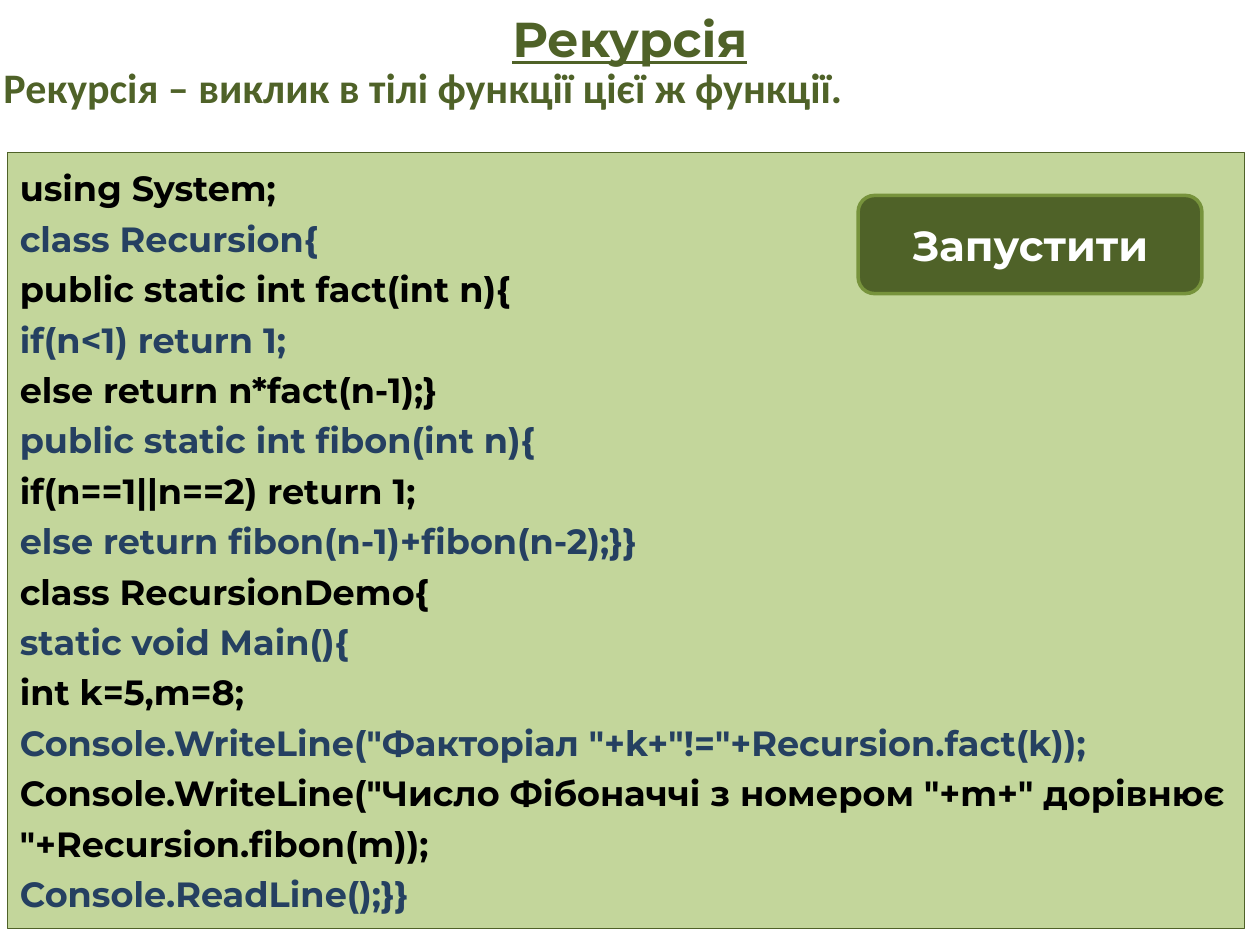
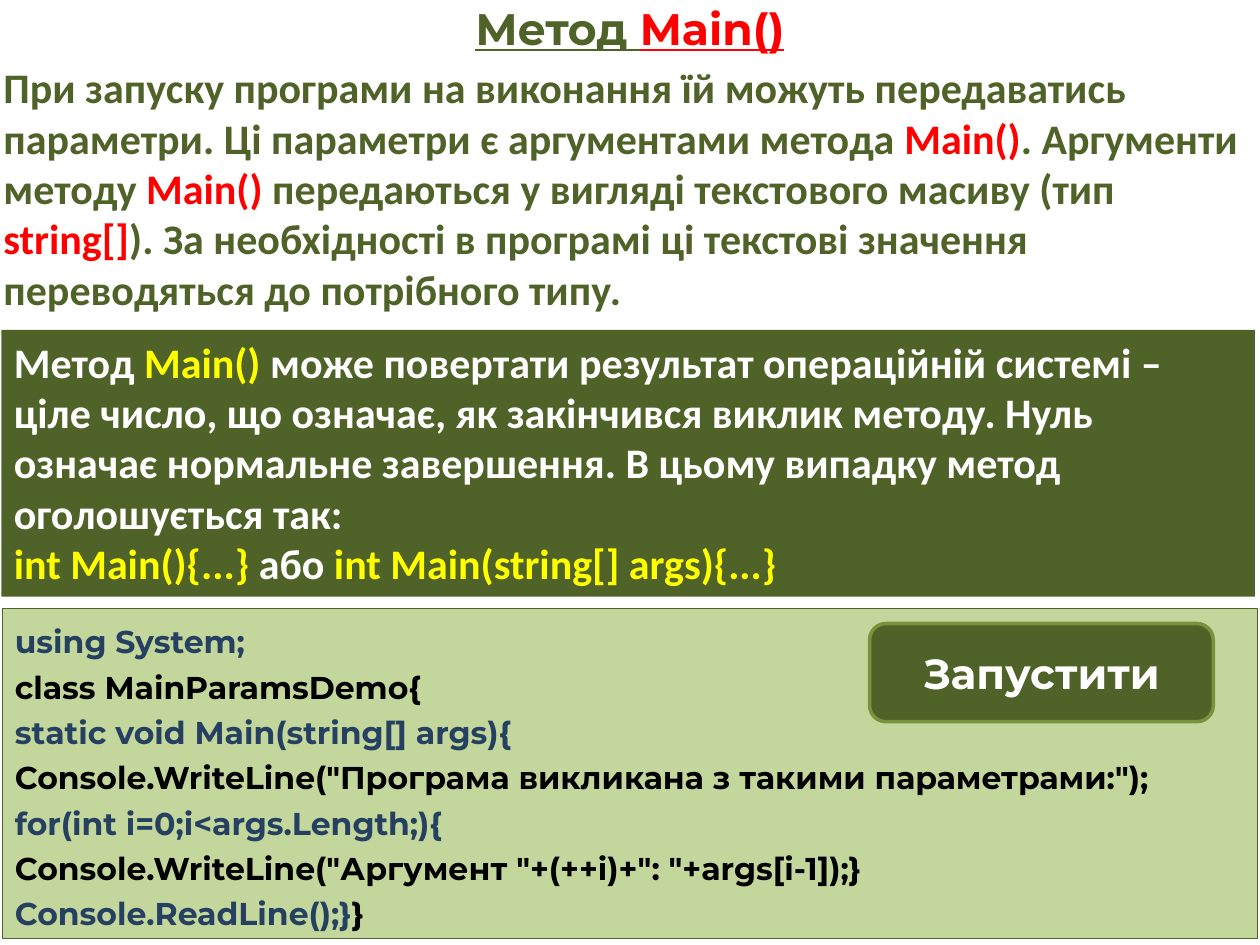
from dataclasses import dataclass
from itertools import cycle

from pptx import Presentation
from pptx.dml.color import RGBColor
from pptx.enum.shapes import MSO_SHAPE as Shape
from pptx.enum.text import MSO_ANCHOR as Anchor, PP_ALIGN as Align
from pptx.util import Cm, Pt

# Colours and fonts
OLIVE = RGBColor(0x4F, 0x62, 0x28)
LEAF = RGBColor(0x77, 0x93, 0x3C)
PALE = RGBColor(0xC3, 0xD6, 0x9B)
NAVY = RGBColor(0x25, 0x40, 0x61)
BLACK = RGBColor(0, 0, 0)
WHITE = RGBColor(0xFF, 0xFF, 0xFF)
RED = RGBColor(0xFF, 0, 0)
YELLOW = RGBColor(0xFF, 0xFF, 0)
HEAD_FONT, BODY_FONT = "Montserrat", "Calibri"

SLIDE_W, SLIDE_H = 25.4, 19.05
BUTTON_W, BUTTON_H = 6.93, 1.98

Line = list[tuple[str, RGBColor]]  # one paragraph: coloured spans


@dataclass(frozen=True)
class Box:
    """Position and size in centimetres."""
    x: float
    y: float
    w: float
    h: float

    def emu(self) -> tuple[Cm, Cm, Cm, Cm]:
        return Cm(self.x), Cm(self.y), Cm(self.w), Cm(self.h)


@dataclass(frozen=True)
class TextStyle:
    size: float
    font: str = HEAD_FONT
    align: Align = Align.LEFT
    anchor: Anchor = Anchor.TOP
    spacing: float = 1.0
    underline: bool = False


BODY = TextStyle(24, BODY_FONT)
BUTTON = TextStyle(24, align=Align.CENTER, anchor=Anchor.MIDDLE)


def write(sp, lines: list[Line], style: TextStyle) -> None:
    tf = sp.text_frame
    tf.word_wrap = True
    tf.vertical_anchor = style.anchor
    for i, spans in enumerate(lines):
        p = tf.add_paragraph() if i else tf.paragraphs[0]
        p.alignment = style.align
        p.line_spacing = style.spacing
        for text, color in spans:
            r = p.add_run()
            r.text = text
            f = r.font
            f.name, f.size, f.bold = style.font, Pt(style.size), True
            f.color.rgb = color
            if style.underline:
                f.underline = True


def add_text(s, box: Box, lines: list[Line], style: TextStyle) -> None:
    write(s.shapes.add_textbox(*box.emu()), lines, style)


def add_panel(s, box: Box, lines: list[Line], style: TextStyle, fill: RGBColor,
              border: RGBColor | None = None, width: float = 0.75,
              kind: Shape = Shape.RECTANGLE) -> None:
    sp = s.shapes.add_shape(kind, *box.emu())
    sp.shadow.inherit = False
    sp.fill.solid()
    sp.fill.fore_color.rgb = fill
    if border is None:
        sp.line.fill.background()
    else:
        sp.line.color.rgb = border
        sp.line.width = Pt(width)
    write(sp, lines, style)


def add_title(s, spans: Line, size: float, height: float) -> None:
    style = TextStyle(size, align=Align.CENTER, anchor=Anchor.MIDDLE, underline=True)
    add_text(s, Box(0, 0, SLIDE_W, height), [spans], style)


def add_body(s, spans: Line, height: float) -> None:
    add_text(s, Box(-0.18, 1.12, 25.88, height), [spans], BODY)


def add_code(s, box: Box, lines: list[Line], size: float) -> None:
    add_panel(s, box, lines, TextStyle(size, spacing=1.2), PALE, OLIVE)


def add_run_button(s, x: float, y: float) -> None:
    add_panel(s, Box(x, y, BUTTON_W, BUTTON_H), [[("Запустити", WHITE)]], BUTTON,
              OLIVE, LEAF, 2, Shape.ROUNDED_RECTANGLE)


def stripe(code: list[str], *colors: RGBColor) -> list[Line]:
    """Give successive code lines alternating colours."""
    return [[(text, color)] for text, color in zip(code, cycle(colors))]


def alternate(texts: list[str], *colors: RGBColor) -> Line:
    """Give successive spans of one paragraph alternating colours."""
    return list(zip(texts, cycle(colors)))


RECURSION_CODE = [
    'using System;',
    'class Recursion{',
    'public static int fact(int n){',
    'if(n<1) return 1;',
    'else return n*fact(n-1);}',
    'public static int fibon(int n){',
    'if(n==1||n==2) return 1;',
    'else return fibon(n-1)+fibon(n-2);}}',
    'class RecursionDemo{',
    'static void Main(){',
    'int k=5,m=8;',
    'Console.WriteLine("Факторiал "+k+"!="+Recursion.fact(k));',
    'Console.WriteLine("Число Фiбоначчi з номером "+m+" дорiвнює "+Recursion.fibon(m));',
    'Console.ReadLine();}}',
]

MAIN_CODE = [
    'using System;',
    'class MainParamsDemo{',
    'static void Main(string[] args){',
    'Console.WriteLine("Програма викликана з такими параметрами:");',
    'for(int i=0;i<args.Length;){',
    'Console.WriteLine("Аргумент "+(++i)+": "+args[i-1]);}',
]

MAIN_ARGS = [
    "При запуску програми на виконання їй можуть передаватись параметри. "
    "Ці параметри є аргументами метода ",
    "Main()",
    ". Аргументи методу ",
    "Main() ",
    "передаються у вигляді текстового масиву (тип ",
    "string[]",
    "). За необхідності в програмі ці текстові значення переводяться до потрібного типу.",
]

MAIN_RESULT = [
    "Метод ",
    "Main()",
    " може повертати результат операційній системі – ціле число, що означає, "
    "як закінчився виклик методу. Нуль означає нормальне завершення. "
    "В цьому випадку метод оголошується так:",
]
MAIN_FORMS = ["int Main(){...} ", "або ", "int Main(string[] args){...}"]


def recursion_slide(s) -> None:
    add_code(s, Box(0.15, 3.07, 24.94, 15.65), stripe(RECURSION_CODE, BLACK, NAVY), 20)
    add_title(s, [("Рекурсія", OLIVE)], 28, 1.52)
    add_run_button(s, 17.3, 3.94)
    add_body(s, [("Рекурсія – виклик в тілі функції цієї ж функції.", OLIVE)], 1.27)


def main_method_slide(s) -> None:
    closing = alternate(["Console.ReadLine();}", "}"], NAVY, BLACK)
    add_code(s, Box(0.05, 12.27, 25.3, 6.65),
             stripe(MAIN_CODE, NAVY, BLACK) + [closing], 18)
    add_title(s, [("Метод ", OLIVE), ("Main()", RED)], 25.2, 1.12)
    add_run_button(s, 17.53, 12.57)
    add_body(s, alternate(MAIN_ARGS, OLIVE, RED), 5.38)
    # Return value of the method
    add_panel(s, Box(0.03, 6.65, 25.27, 5.38),
              [alternate(MAIN_RESULT, WHITE, YELLOW),
               alternate(MAIN_FORMS, YELLOW, WHITE)], BODY, OLIVE)


def main() -> None:
    prs = Presentation()
    prs.slide_width, prs.slide_height = Cm(SLIDE_W), Cm(SLIDE_H)
    blank = prs.slide_layouts[6]
    for build in (recursion_slide, main_method_slide):
        build(prs.slides.add_slide(blank))
    prs.save("out.pptx")


if __name__ == "__main__":
    main()
